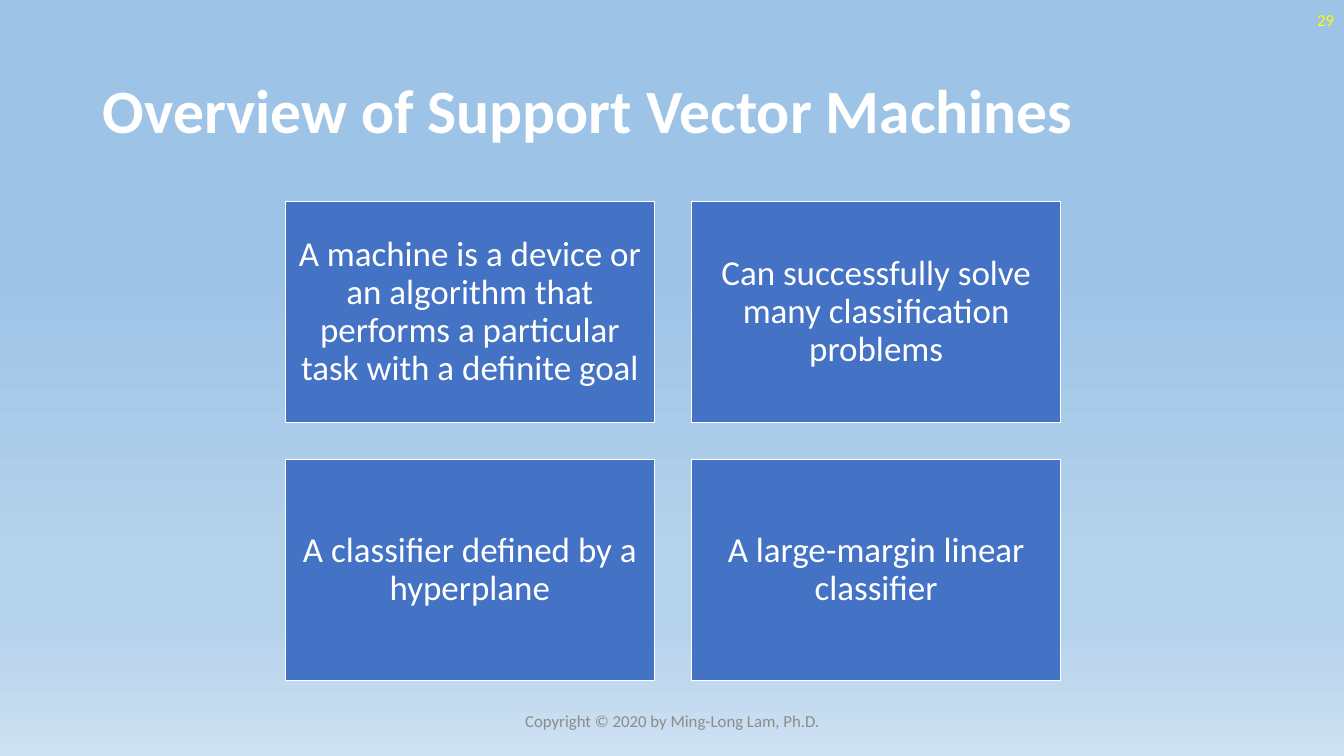
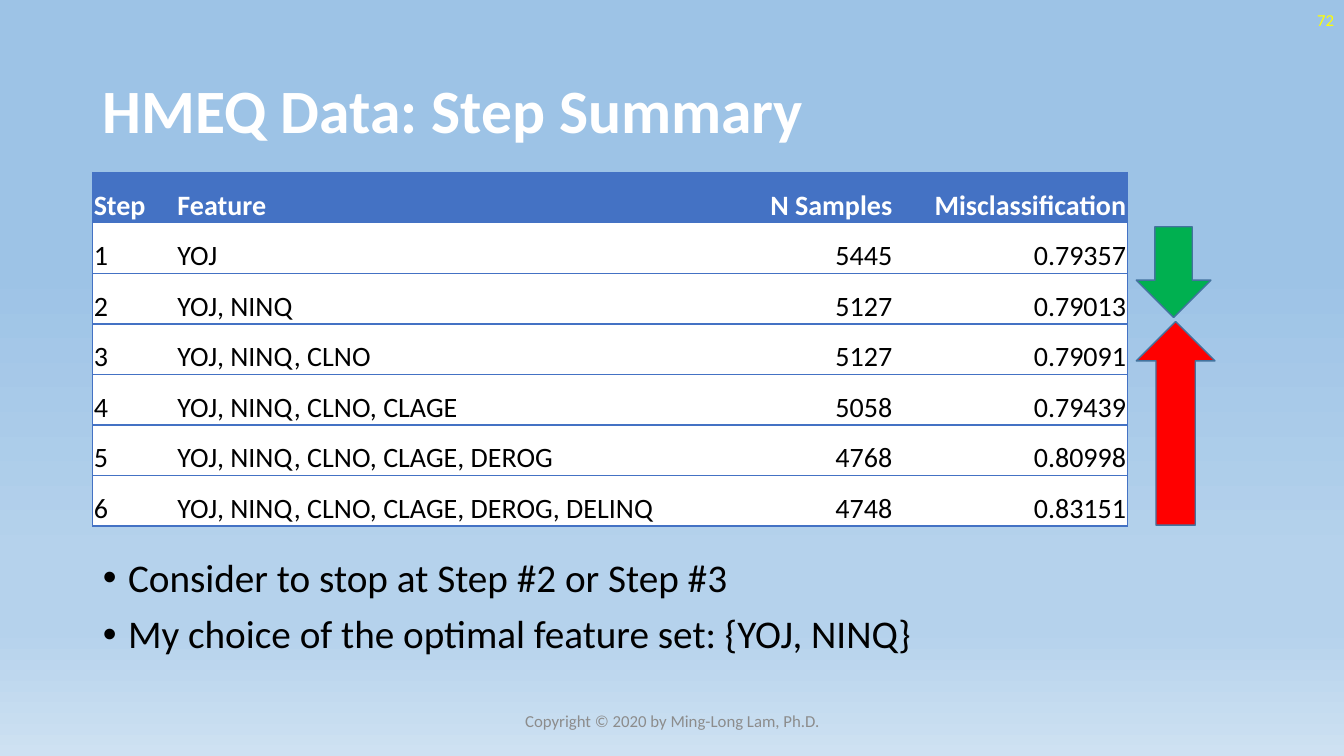
from dataclasses import dataclass
from typing import NamedTuple

import pptx
import pptx.dml.color
import pptx.enum.shapes
import pptx.enum.text
import pptx.oxml.ns
import pptx.util
from lxml import etree

Inches = pptx.util.Inches
Pt = pptx.util.Pt
RGBColor = pptx.dml.color.RGBColor
Align = pptx.enum.text.PP_ALIGN
Anchor = pptx.enum.text.MSO_ANCHOR
Preset = pptx.enum.shapes.MSO_SHAPE
qn = pptx.oxml.ns.qn


@dataclass(frozen=True)
class Theme:
    font: str = "Calibri"
    white: str = "FFFFFF"
    black: str = "000000"
    blue: str = "4472C4"
    arrow_outline: str = "43739E"
    green: str = "00B050"
    red: str = "FF0000"
    page_number: str = "FFFF00"
    footer: str = "8C8C8C"
    background: tuple = ((35, "9DC3E6"), (74, "B5D2EC"), (83, "B5D2EC"), (100, "CEE1F2"))
    title_size: float = 44
    body_size: float = 28
    card_size: float = 25
    table_size: float = 20
    small_size: float = 12


THEME = Theme()


class Box(NamedTuple):
    left: float
    top: float
    width: float
    height: float

    def emu(self) -> tuple:
        return tuple(Inches(value) for value in self)


class Style(NamedTuple):
    size: float
    color: str
    bold: bool = False
    align: Align = Align.LEFT
    line_spacing: float = 1.0


class Arrow(NamedTuple):
    preset: Preset
    box: Box
    color: str


class Column(NamedTuple):
    heading: str
    width: float
    align: Align


TITLE = Style(THEME.title_size, THEME.white, True, line_spacing=0.9)
BODY = Style(THEME.body_size, THEME.black, line_spacing=0.9)
CARD = Style(THEME.card_size, THEME.white, align=Align.CENTER, line_spacing=0.9)
PAGE_NUMBER = Style(THEME.small_size, THEME.page_number, align=Align.RIGHT)
FOOTER = Style(THEME.small_size, THEME.footer, align=Align.CENTER)

TITLE_BOX = Box(0.92, 0.4, 11.5, 1.45)
BODY_BOX = Box(0.92, 5.49, 11.5, 1.19)
PAGE_NUMBER_BOX = Box(10.33, 0, 3, 0.4)
FOOTER_BOX = Box(4.42, 6.95, 4.5, 0.4)
FOOTER_TEXT = "Copyright © 2020 by Ming-Long Lam, Ph.D."

FIRST_CARD = Box(2.83, 2, 3.66, 2.19)
CARD_GAP = 0.37
CARDS_PER_ROW = 2
CARDS = (
    "A machine is a device or an algorithm that performs a particular task with a definite goal",
    "Can successfully solve many classification problems",
    "A classifier defined by a hyperplane",
    "A large-margin linear classifier",
)

TABLE_BOX = Box(0.92, 1.71, 10.26, 3.51)
PLAIN_TABLE_STYLE = "{2D5ABB26-0587-4C30-8999-92F81FD0307C}"
COLUMNS = (
    Column("Step", 0.83, Align.LEFT),
    Column("Feature", 5, Align.LEFT),
    Column("N Samples", 2.11, Align.RIGHT),
    Column("Misclassification", 2.32, Align.RIGHT),
)
FEATURES = ("YOJ", "NINQ", "CLNO", "CLAGE", "DEROG", "DELINQ")
RESULTS = (
    ("5445", "0.79357"),
    ("5127", "0.79013"),
    ("5127", "0.79091"),
    ("5058", "0.79439"),
    ("4768", "0.80998"),
    ("4748", "0.83151"),
)
CONCLUSIONS = (
    "Consider to stop at Step #2 or Step #3",
    "My choice of the optimal feature set: {YOJ, NINQ}",
)
ARROWS = (
    Arrow(Preset.DOWN_ARROW, Box(11.27, 2.25, 0.74, 0.9), THEME.green),
    Arrow(Preset.UP_ARROW, Box(11.27, 3.19, 0.78, 2.02), THEME.red),
)


def rgb(color: str) -> RGBColor:
    return RGBColor.from_string(color)


def write(paragraph, text: str, style: Style) -> None:
    paragraph.alignment = style.align
    paragraph.line_spacing = style.line_spacing
    run = paragraph.add_run()
    run.text = text
    run.font.name = THEME.font
    run.font.size = Pt(style.size)
    run.font.bold = style.bold
    run.font.color.rgb = rgb(style.color)


def prepare_frame(frame, anchor: Anchor) -> None:
    frame.word_wrap = True
    frame.auto_size = pptx.enum.text.MSO_AUTO_SIZE.NONE
    frame.vertical_anchor = anchor


def place(shape, box: Box) -> None:
    shape.left, shape.top, shape.width, shape.height = box.emu()


def paint_background(master) -> None:
    fill = master.background.fill
    fill.gradient()
    fill.gradient_angle = 270
    stops = master.element.find(".//" + qn("a:gsLst"))
    stops.clear()
    for position, color in THEME.background:
        stop = etree.SubElement(stops, qn("a:gs"), pos=str(position * 1000))
        etree.SubElement(stop, qn("a:srgbClr"), val=color)


def add_label(slide, box: Box, text: str, style: Style) -> None:
    frame = slide.shapes.add_textbox(*box.emu()).text_frame
    prepare_frame(frame, Anchor.MIDDLE)
    write(frame.paragraphs[0], text, style)


def add_slide(presentation, layout_name: str, title: str, number: int):
    """Add a slide with the shared title, page number and footer."""
    layout = presentation.slide_layouts.get_by_name(layout_name)
    slide = presentation.slides.add_slide(layout)
    place(slide.shapes.title, TITLE_BOX)
    frame = slide.shapes.title.text_frame
    prepare_frame(frame, Anchor.MIDDLE)
    write(frame.paragraphs[0], title, TITLE)
    add_label(slide, PAGE_NUMBER_BOX, str(number), PAGE_NUMBER)
    add_label(slide, FOOTER_BOX, FOOTER_TEXT, FOOTER)
    return slide


def add_filled_shape(slide, preset: Preset, box: Box, fill: str, outline: str):
    shape = slide.shapes.add_shape(preset, *box.emu())
    shape.shadow.inherit = False
    shape.fill.solid()
    shape.fill.fore_color.rgb = rgb(fill)
    shape.line.color.rgb = rgb(outline)
    shape.line.width = Pt(1)
    return shape


def add_cards(slide) -> None:
    left, top, width, height = FIRST_CARD
    for index, text in enumerate(CARDS):
        row, column = divmod(index, CARDS_PER_ROW)
        box = Box(left + column * (width + CARD_GAP), top + row * (height + CARD_GAP),
                  width, height)
        card = add_filled_shape(slide, Preset.RECTANGLE, box, THEME.blue, THEME.white)
        frame = card.text_frame
        prepare_frame(frame, Anchor.MIDDLE)
        frame.margin_left = frame.margin_right = Inches(0.1)
        frame.margin_top = frame.margin_bottom = Inches(0.1)
        write(frame.paragraphs[0], text, CARD)


def add_bullets(placeholder, lines: tuple) -> None:
    place(placeholder, BODY_BOX)
    frame = placeholder.text_frame
    prepare_frame(frame, Anchor.TOP)
    for index, line in enumerate(lines):
        paragraph = frame.add_paragraph() if index else frame.paragraphs[0]
        properties = paragraph._p.get_or_add_pPr()
        properties.set("marL", str(Inches(0.25)))
        properties.set("indent", str(-Inches(0.25)))
        etree.SubElement(properties, qn("a:buFont"), typeface="Arial")
        etree.SubElement(properties, qn("a:buChar"), char="•")
        paragraph.space_before = Pt(10 if index else 0)
        write(paragraph, line, BODY)


def add_borders(cell, sides: str) -> None:
    """Draw the given sides, a string of letters in the order L, R, T, B."""
    properties = cell._tc.get_or_add_tcPr()
    for index, side in enumerate(sides):
        line = etree.Element(qn("a:ln" + side), w=str(Pt(1)))
        fill = etree.SubElement(line, qn("a:solidFill"))
        etree.SubElement(fill, qn("a:srgbClr"), val=THEME.blue)
        properties.insert(index, line)


def add_step_table(slide) -> None:
    rows = [tuple(column.heading for column in COLUMNS)]
    for step, result in enumerate(RESULTS, start=1):
        rows.append((str(step), ", ".join(FEATURES[:step]), *result))
    table = slide.shapes.add_table(len(rows), len(COLUMNS), *TABLE_BOX.emu()).table
    table.horz_banding = False
    table._tbl.tblPr.find(qn("a:tableStyleId")).text = PLAIN_TABLE_STYLE
    for index, column in enumerate(COLUMNS):
        table.columns[index].width = Inches(column.width)
    for row_index, values in enumerate(rows):
        header = row_index == 0
        for column_index, (column, value) in enumerate(zip(COLUMNS, values)):
            cell = table.cell(row_index, column_index)
            cell.fill.solid()
            cell.fill.fore_color.rgb = rgb(THEME.blue if header else THEME.white)
            cell.vertical_anchor = Anchor.BOTTOM
            cell.margin_left = cell.margin_right = cell.margin_top = Inches(0.01)
            cell.margin_bottom = 0
            style = Style(THEME.table_size, THEME.white if header else THEME.black,
                          header, column.align)
            write(cell.text_frame.paragraphs[0], value, style)
            outer_side = {0: "L", len(COLUMNS) - 1: "R"}.get(column_index, "")
            add_borders(cell, outer_side + "TB")


def main() -> None:
    presentation = pptx.Presentation()
    presentation.slide_width = Inches(13.33)
    presentation.slide_height = Inches(7.5)
    paint_background(presentation.slide_master)

    overview = add_slide(presentation, "Title Only", "Overview of Support Vector Machines", 29)
    add_cards(overview)

    summary = add_slide(presentation, "Title and Content", "HMEQ Data: Step Summary", 72)
    add_bullets(summary.placeholders[1], CONCLUSIONS)
    add_step_table(summary)
    for arrow in ARROWS:
        add_filled_shape(summary, arrow.preset, arrow.box, arrow.color, THEME.arrow_outline)

    presentation.save("out.pptx")


if __name__ == "__main__":
    main()
